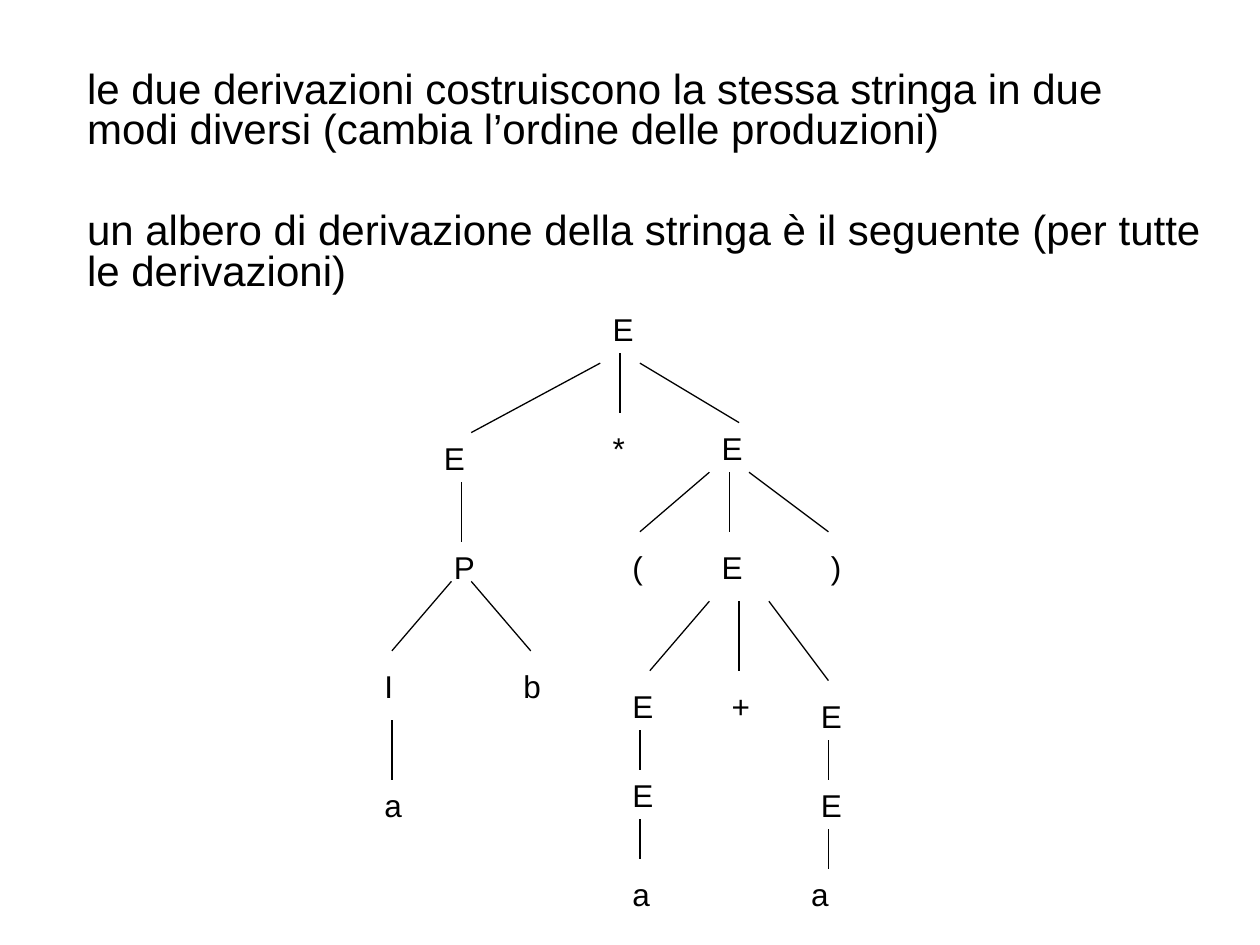
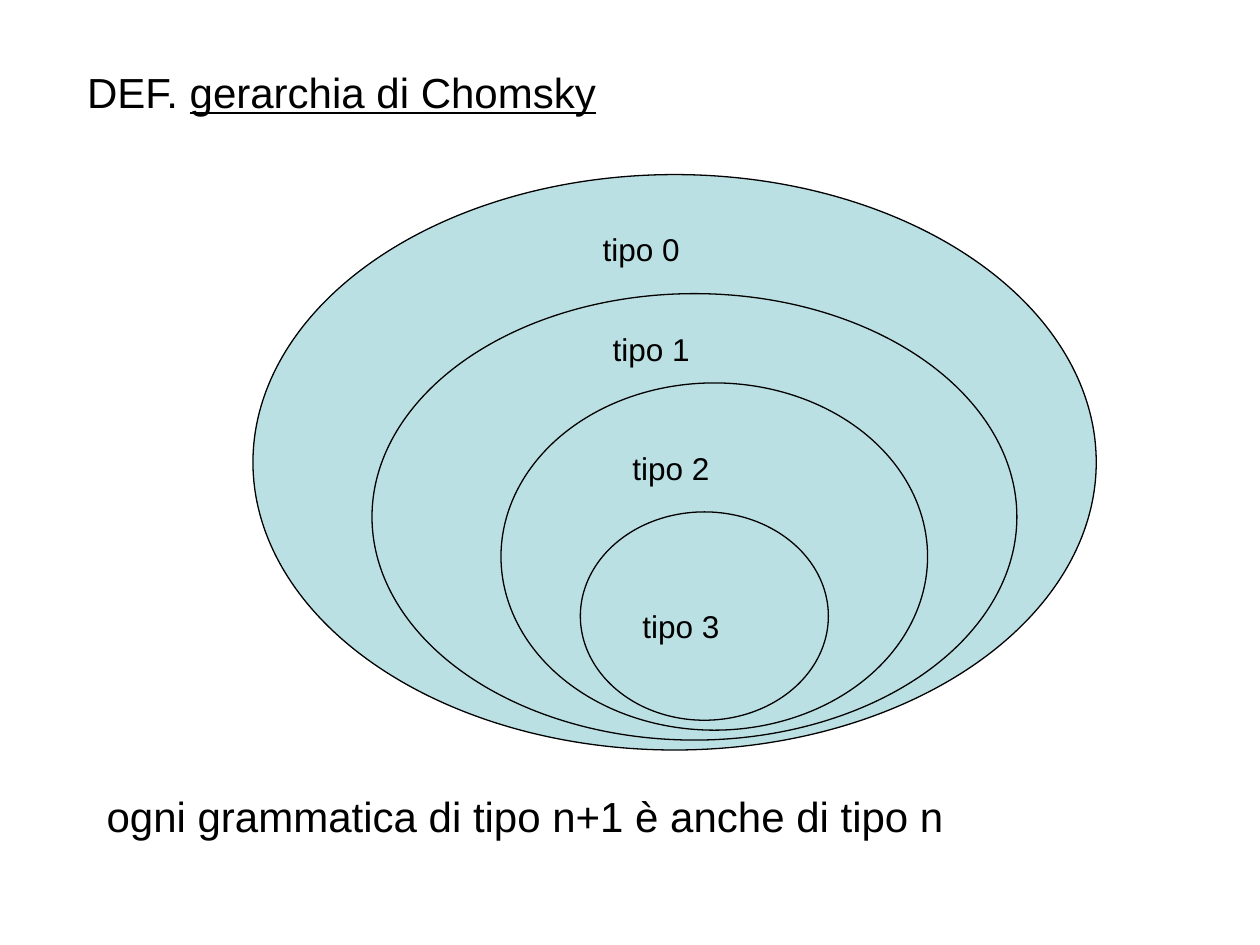
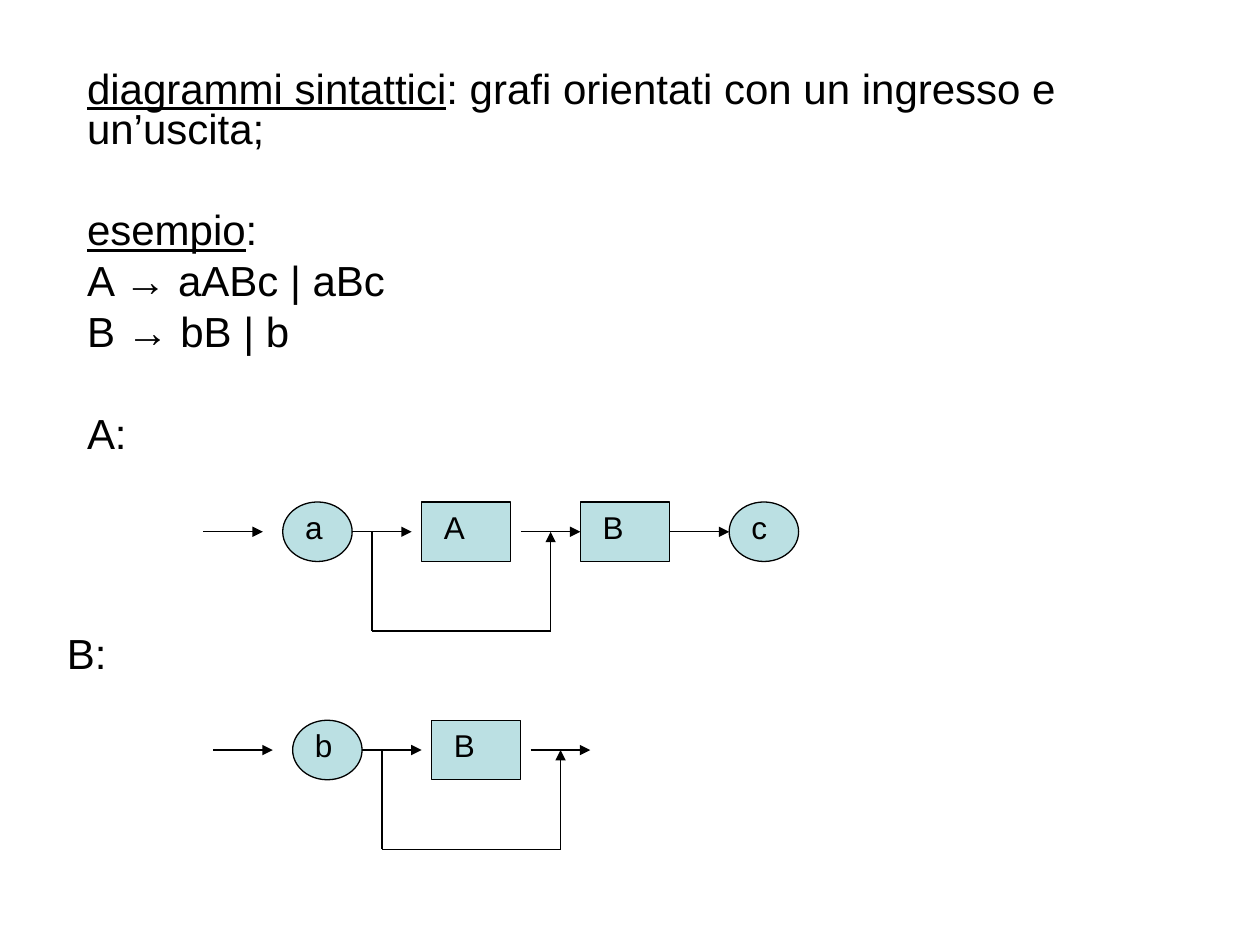
from dataclasses import dataclass
from typing import Any, NamedTuple

from lxml import etree
from pptx import Presentation
from pptx import util as u
from pptx.dml.color import RGBColor
from pptx.enum import shapes, text
from pptx.oxml.ns import qn

BLACK = RGBColor(0x00, 0x00, 0x00)
PALE_TEAL = RGBColor(0xBB, 0xE0, 0xE3)
LINE_WIDTH = u.Pt(0.75)
LABEL_HEIGHT = 1.02
BLANK_GAP = 35
FONT = {"name": "Arial"}
FRAME = {"word_wrap": True, "vertical_anchor": text.MSO_ANCHOR.TOP}
LABEL_PARAGRAPH = {"space_before": u.Pt(11.2), "alignment": text.PP_ALIGN.LEFT}


class Run(NamedTuple):
    text: str
    underline: bool = False


class Para(NamedTuple):
    runs: list[Run]
    gap: float = 6


class Box(NamedTuple):
    left: float
    top: float
    width: float
    height: float

    def lengths(self) -> list[u.Length]:
        return [u.Cm(v) for v in self]


class Label(NamedTuple):
    text: str
    left: float
    top: float
    width: float = 1.0


class Line(NamedTuple):
    x1: float
    y1: float
    x2: float
    y2: float
    arrow: bool = False


@dataclass
class Symbol:
    text: str
    left: float
    terminal: bool
    label_width: float


def apply(target: Any, values: dict[str, Any]) -> None:
    for name, value in values.items():
        setattr(target, name, value)


def add_run(p: Any, run: Run, size: float) -> None:
    r = p.add_run()
    r.text = run.text
    apply(r.font, FONT | {"size": u.Pt(size), "underline": run.underline})
    r.font.color.rgb = BLACK


def write_paragraphs(sp: Any, paras: list[Para], spacing: float) -> None:
    tf = sp.text_frame
    apply(tf, FRAME | {"auto_size": text.MSO_AUTO_SIZE.NONE})
    for i, para in enumerate(paras):
        p = tf.paragraphs[0] if i == 0 else tf.add_paragraph()
        apply(p, {"line_spacing": spacing, "space_before": u.Pt(para.gap),
                  "alignment": text.PP_ALIGN.LEFT})
        for run in para.runs:
            add_run(p, run, 24)


def add_slide(prs: Any, height: float, paras: list[Para], spacing: float) -> Any:
    s = prs.slides.add_slide(prs.slide_layouts[0])
    title = s.shapes.title.element
    title.getparent().remove(title)
    sp = s.placeholders[1]
    box = Box(1.5, 1.32, 23, height).lengths()
    apply(sp, dict(zip(("left", "top", "width", "height"), box)))
    write_paragraphs(sp, paras, spacing)
    return s


def add_note(s: Any, box: Box, content: str, spacing: float) -> None:
    sp = s.shapes.add_textbox(*box.lengths())
    write_paragraphs(sp, [Para([Run(content)])], spacing)


def add_label(s: Any, label: Label) -> None:
    box = Box(label.left, label.top, label.width, LABEL_HEIGHT)
    tf = s.shapes.add_textbox(*box.lengths()).text_frame
    apply(tf, FRAME | {"auto_size": text.MSO_AUTO_SIZE.SHAPE_TO_FIT_TEXT})
    p = tf.paragraphs[0]
    apply(p, LABEL_PARAGRAPH)
    add_run(p, Run(label.text), 18)


def add_outline(s: Any, kind: shapes.MSO_SHAPE, box: Box) -> None:
    sp = s.shapes.add_shape(kind, *box.lengths())
    sp.shadow.inherit = False
    sp.fill.solid()
    sp.fill.fore_color.rgb = PALE_TEAL
    sp.line.color.rgb = BLACK
    sp.line.width = LINE_WIDTH


def add_line(s: Any, line: Line) -> None:
    ends = [u.Cm(v) for v in line[:4]]
    sp = s.shapes.add_connector(shapes.MSO_CONNECTOR.STRAIGHT, *ends)
    sp.line.color.rgb = BLACK
    sp.line.width = LINE_WIDTH
    sppr = sp.element.spPr
    if line.arrow:
        etree.SubElement(sppr.find(qn("a:ln")), qn("a:tailEnd"), type="triangle")
    etree.SubElement(sppr, qn("a:effectLst"))


def derivation_tree(prs: Any) -> None:
    s = add_slide(prs, 5, [
        Para([Run("le due derivazioni costruiscono la stessa stringa in due modi "
                  "diversi (cambia l’ordine delle produzioni)")]),
        Para([Run("un albero di derivazione della stringa è il seguente "
                  "(per tutte le derivazioni)")], BLANK_GAP),
    ], 0.8)
    nodes = [
        Label("E", 12.1, 6.12, 1.2),
        Label("E", 8.7, 8.72), Label("*", 12.1, 8.52, 0.8), Label("E", 14.3, 8.52),
        Label("P", 8.9, 10.92, 0.8), Label("(", 12.5, 10.92, 0.8),
        Label("E", 14.3, 10.92, 0.8), Label(")", 16.5, 10.92, 0.8),
        Label("I", 7.5, 13.32, 0.8), Label("b", 10.3, 13.32),
        Label("E", 12.5, 13.72), Label("+", 14.5, 13.72), Label("E", 16.3, 13.92),
        Label("a", 7.5, 15.72), Label("E", 12.5, 15.52), Label("E", 16.3, 15.72),
        Label("a", 12.5, 17.52), Label("a", 16.1, 17.52),
    ]
    branches = [
        Line(12.1, 7.32, 9.5, 8.72), Line(12.5, 7.12, 12.5, 8.32),
        Line(12.9, 7.32, 14.9, 8.52),
        Line(9.3, 9.72, 9.3, 10.92),
        Line(14.3, 9.52, 12.9, 10.72), Line(14.7, 9.52, 14.7, 10.72),
        Line(15.1, 9.52, 16.7, 10.72),
        Line(9.1, 11.72, 7.9, 13.12), Line(9.5, 11.72, 10.7, 13.12),
        Line(14.3, 12.12, 13.1, 13.52), Line(14.9, 12.12, 14.9, 13.52),
        Line(15.5, 12.12, 16.7, 13.72),
        Line(7.9, 14.52, 7.9, 15.72),
    ]
    for x, top in ((12.9, 14.72), (16.7, 14.92)):
        branches += [Line(x, y, x, y + 0.8) for y in (top, top + 1.8)]
    for node in nodes:
        add_label(s, node)
    for branch in branches:
        add_line(s, branch)


def chomsky_hierarchy(prs: Any) -> None:
    s = add_slide(prs, 2, [
        Para([Run("DEF. "), Run("gerarchia di Chomsky", True)])], 0.9)
    classes = [
        Box(5.1, 3.52, 17, 11.6), Box(7.5, 5.92, 13, 9),
        Box(10.1, 7.72, 8.6, 7), Box(11.7, 10.32, 5, 4.2),
    ]
    for box in classes:
        add_outline(s, shapes.MSO_SHAPE.OVAL, box)
    places = [(11.9, 4.52, 4.2), (12.1, 6.52, 4.4), (12.5, 8.92, 3.4), (12.7, 12.12, 2.6)]
    for n, place in enumerate(places):
        add_label(s, Label(f"tipo {n}", *place))
    add_note(s, Box(1.9, 15.92, 23, 1.8),
             "ogni grammatica di tipo n+1 è anche di tipo n", 0.9)


def add_syntax_graph(s: Any, x: float, y: float, symbols: list[Symbol],
                     arrow_starts: list[float]) -> None:
    for sym in symbols:
        kind = shapes.MSO_SHAPE.OVAL if sym.terminal else shapes.MSO_SHAPE.RECTANGLE
        left, top = x + sym.left, y - 0.6
        add_outline(s, kind, Box(left, top, 1.4 if sym.terminal else 1.8, 1.2))
        add_label(s, Label(sym.text, left + 0.2, top, sym.label_width))
    for start in arrow_starts:
        add_line(s, Line(x + start, y, x + start + 1.2, y, True))
    left, right, bottom = x + 3.4, x + 7, y + 2
    add_line(s, Line(left, y, left, bottom))
    add_line(s, Line(left, bottom, right, bottom))
    add_line(s, Line(right, bottom, right, y, True))


def syntax_diagrams(prs: Any) -> None:
    s = add_slide(prs, 8.4, [
        Para([Run("diagrammi sintattici", True),
              Run(": grafi orientati con un ingresso e un’uscita;")]),
        Para([Run("esempio", True), Run(":")], BLANK_GAP),
        Para([Run("A → aABc | aBc")]),
        Para([Run("B → bB | b")]),
        Para([Run("A:")], BLANK_GAP),
    ], 0.8)
    add_syntax_graph(s, 4.1, 10.72, [
        Symbol("a", 1.6, True, 2.4), Symbol("A", 4.4, False, 1.8),
        Symbol("B", 7.6, False, 1.4), Symbol("c", 10.6, True, 1.4),
    ], [0, 3, 6.4, 9.4])
    add_note(s, Box(1.1, 12.72, 23, 1.2), "B:", 0.8)
    add_syntax_graph(s, 4.3, 15.12, [
        Symbol("b", 1.6, True, 2.4), Symbol("B", 4.4, False, 1.8),
    ], [0, 3, 6.4])


def main() -> None:
    prs = Presentation()
    apply(prs, {"slide_width": u.Cm(25.4), "slide_height": u.Cm(19.05)})
    for build in (derivation_tree, chomsky_hierarchy, syntax_diagrams):
        build(prs)
    prs.save("out.pptx")


if __name__ == "__main__":
    main()
